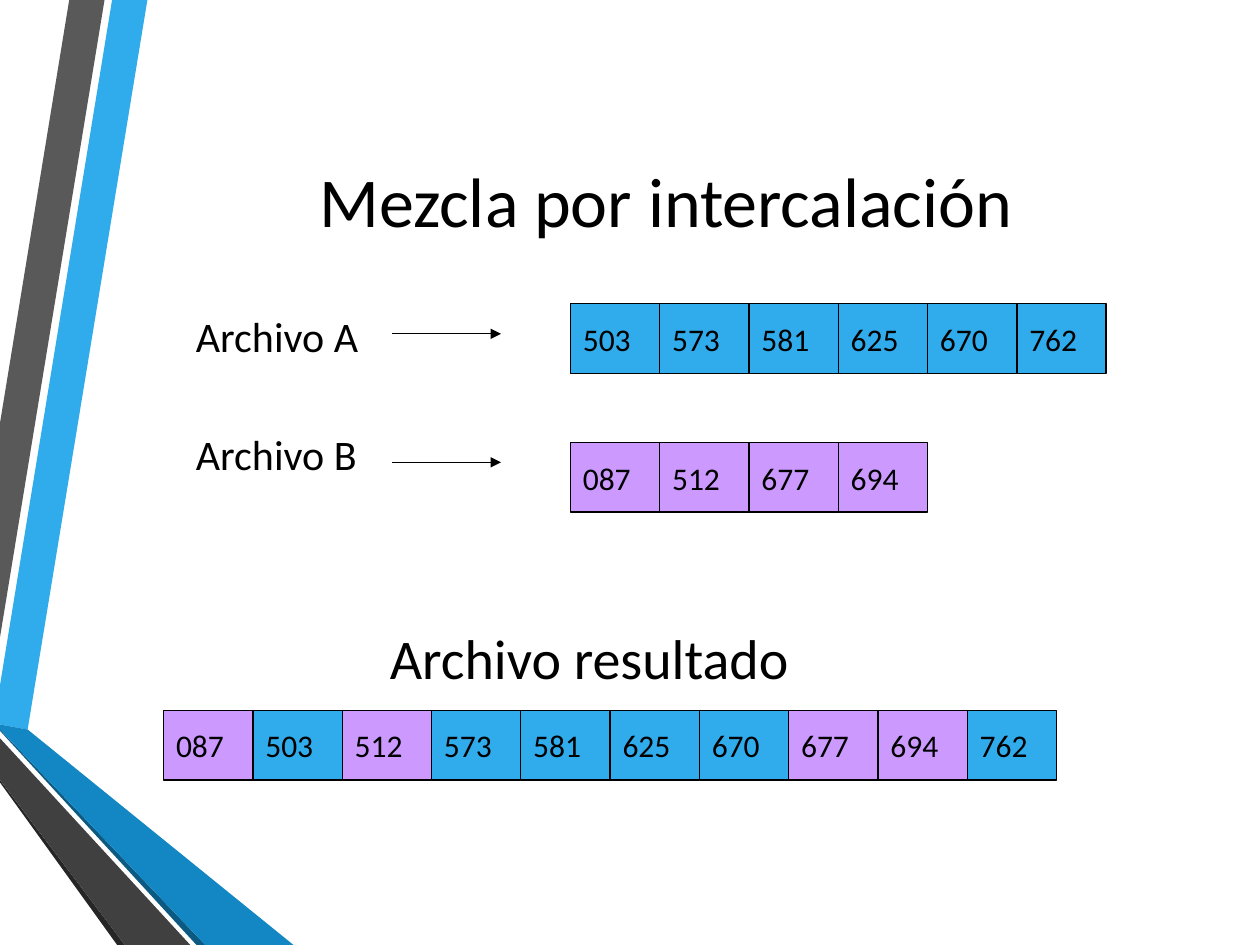
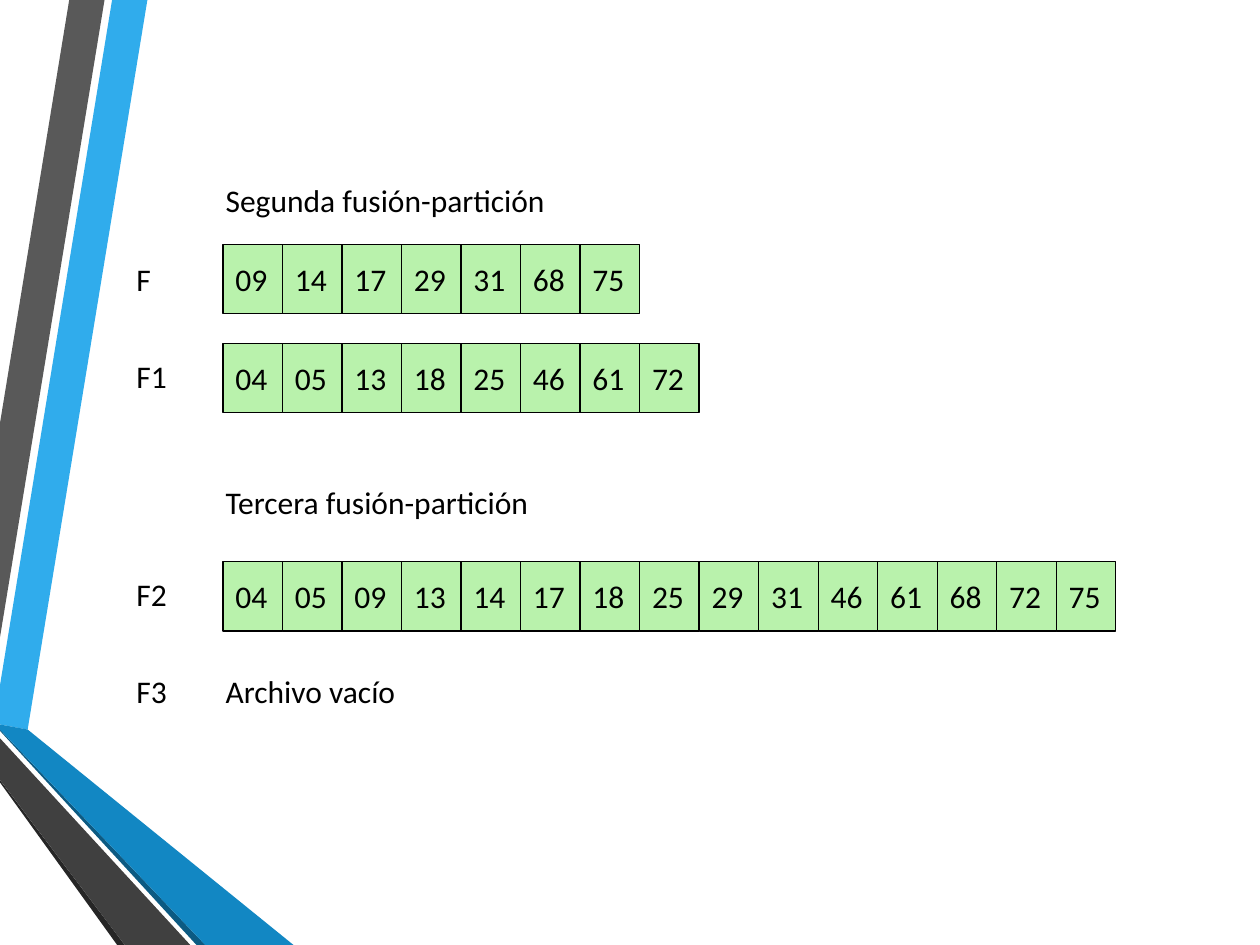
"""Two slides on merging sorted files, drawn on a one-millimetre grid."""
from dataclasses import dataclass

from lxml import etree
from pptx import Presentation
from pptx import util as u
from pptx.dml.color import RGBColor
from pptx.enum import shapes, text
from pptx.oxml.ns import qn

COLORS = {
    "ink": "000000", "a": "30ACEC", "b": "CC99FF", "file": "B9F2AC",
    "sky": "30ACEC", "gray": "595959", "coal": "262626",
    "navy": "0C5A82", "blue": "1287C3", "dark": "404040",
}
FONT = "Calibri"
CELL_H = 14


@dataclass(frozen=True)
class Band:
    """A ribbon piece: colour and outline in hundredths of an inch."""
    color: str
    points: tuple


@dataclass(frozen=True)
class Row:
    """A file drawn as touching cells; keys holds a colour for each cell."""
    left: float
    top: float
    cell_w: float
    values: str
    keys: tuple


BANDS = (
    Band("sky", ((0, 544), (0, 575), (22, 579), (117, 0), (89, 0))),
    Band("gray", ((83, 0), (55, 0), (0, 336), (0, 506))),
    Band("coal", ((0, 619), (0, 621), (93, 750), (99, 750))),
    Band("navy", ((0, 579), (0, 580), (156, 750), (163, 750))),
    Band("blue", ((0, 579), (163, 750), (233, 750), (22, 579), (0, 575))),
    Band("dark", ((0, 619), (99, 750), (151, 750), (0, 586))),
)
MERGE_ROWS = (
    Row(115, 61.25, 18, "503 573 581 625 670 762", ("a",) * 6),
    Row(115, 89.25, 18, "087 512 677 694", ("b",) * 4),
    Row(33, 143.25, 18, "087 503 512 573 581 625 670 677 694 762", tuple("babaaaabba")),
)
FUSION_ROWS = (
    Row(44.95, 49.25, 12, "09 14 17 29 31 68 75", ("file",) * 7),
    Row(44.95, 69.2, 12, "04 05 13 18 25 46 61 72", ("file",) * 8),
    Row(44.95, 113.2, 12, "04 05 09 13 14 17 18 25 29 31 46 61 68 72 75", ("file",) * 15),
)


def rgb(key: str) -> RGBColor:
    """Look up a palette colour."""
    return RGBColor.from_string(COLORS[key])


def grid(*lengths: float) -> list:
    """Turn grid columns and rows into lengths."""
    return [u.Mm(n) for n in lengths]


def write(tf, lines, *, size=18, gaps=(), align=text.PP_ALIGN.LEFT,
          anchor=text.MSO_ANCHOR.TOP, wrap=False) -> None:
    """Write lines as paragraphs; gaps are the points before each later one."""
    tf.word_wrap = wrap
    tf.vertical_anchor = anchor
    for i, line in enumerate(lines):
        p = tf.add_paragraph() if i else tf.paragraphs[0]
        p.alignment = align
        if i:
            p.space_before = u.Pt(gaps[i - 1])
        r = p.add_run()
        r.text = line
        r.font.name, r.font.size = FONT, u.Pt(size)
        r.font.color.rgb = rgb("ink")


def add_text(s, box, lines, **fmt) -> None:
    """Add a text box on the grid."""
    write(s.shapes.add_textbox(*grid(*box)).text_frame, lines, **fmt)


def paint(sp, key: str) -> None:
    """Give a shape a flat fill and no shadow."""
    sp.shadow.inherit = False
    sp.fill.solid()
    sp.fill.fore_color.rgb = rgb(key)


def add_row(s, row: Row) -> None:
    """Draw one file as a row of cells."""
    for i, (value, key) in enumerate(zip(row.values.split(), row.keys)):
        box = grid(row.left + i * row.cell_w, row.top, row.cell_w, CELL_H)
        sp = s.shapes.add_shape(shapes.MSO_SHAPE.RECTANGLE, *box)
        paint(sp, key)
        sp.line.color.rgb = rgb("ink")
        sp.line.width = u.Pt(0.75)
        write(sp.text_frame, [value], anchor=text.MSO_ANCHOR.MIDDLE)


def add_arrow(s, x1: float, x2: float, y: float) -> None:
    """Draw a horizontal arrow on the grid."""
    c = s.shapes.add_connector(shapes.MSO_CONNECTOR.STRAIGHT, *grid(x1, y, x2, y))
    c.line.color.rgb = rgb("ink")
    c.line.width = u.Pt(0.75)
    pr = c.element.spPr
    etree.SubElement(pr.find(qn("a:ln")), qn("a:tailEnd"), type="triangle")
    etree.SubElement(pr, qn("a:effectLst"))


def add_slide(prs, layout: int):
    """Add a slide with the ribbon along its left edge."""
    s = prs.slides.add_slide(prs.slide_layouts[layout])
    for band in BANDS:
        first, *rest = band.points
        fb = s.shapes.build_freeform(*first, scale=u.Inches(0.01))
        fb.add_line_segments(rest, close=True)
        sp = fb.convert_to_shape()
        paint(sp, band.color)
        sp.line.fill.background()
    return s


def merge_slide(prs) -> None:
    """Build the slide that merges files A and B."""
    s = add_slide(prs, 5)
    title = s.shapes.title
    title.left, title.top, title.width, title.height = grid(27.2, 12.7, 214.1, 55.1)
    write(title.text_frame, ["Mezcla por intercalación"], size=40, wrap=True,
          align=text.PP_ALIGN.CENTER, anchor=text.MSO_ANCHOR.MIDDLE)
    for row in MERGE_ROWS:
        add_row(s, row)
    add_text(s, (76.1, 124.5, 92.2, 16), ["Archivo resultado"], size=32)
    add_text(s, (37, 61.4, 47.5, 38.1), ["Archivo A", "Archivo B"],
             size=24, gaps=(38.6,), wrap=True)
    for y in (67.3, 93.2):
        add_arrow(s, 79, 101, y)


def fusion_slide(prs) -> None:
    """Build the slide with the second and third passes."""
    s = add_slide(prs, 6)
    for row in FUSION_ROWS:
        add_row(s, row)
    add_text(s, (43, 35.3, 75.4, 109.5),
             ["Segunda fusión-partición", "Tercera fusión-partición", "Archivo vacío"],
             gaps=(151, 86))
    add_text(s, (25, 51.1, 12.4, 93.2), ["F", "F1", "F2", "F3"], gaps=(34, 103, 34))


def main() -> None:
    """Build and save the presentation."""
    prs = Presentation()
    prs.slide_width, prs.slide_height = u.Inches(10), u.Inches(7.5)
    merge_slide(prs)
    fusion_slide(prs)
    prs.save("out.pptx")


main()
